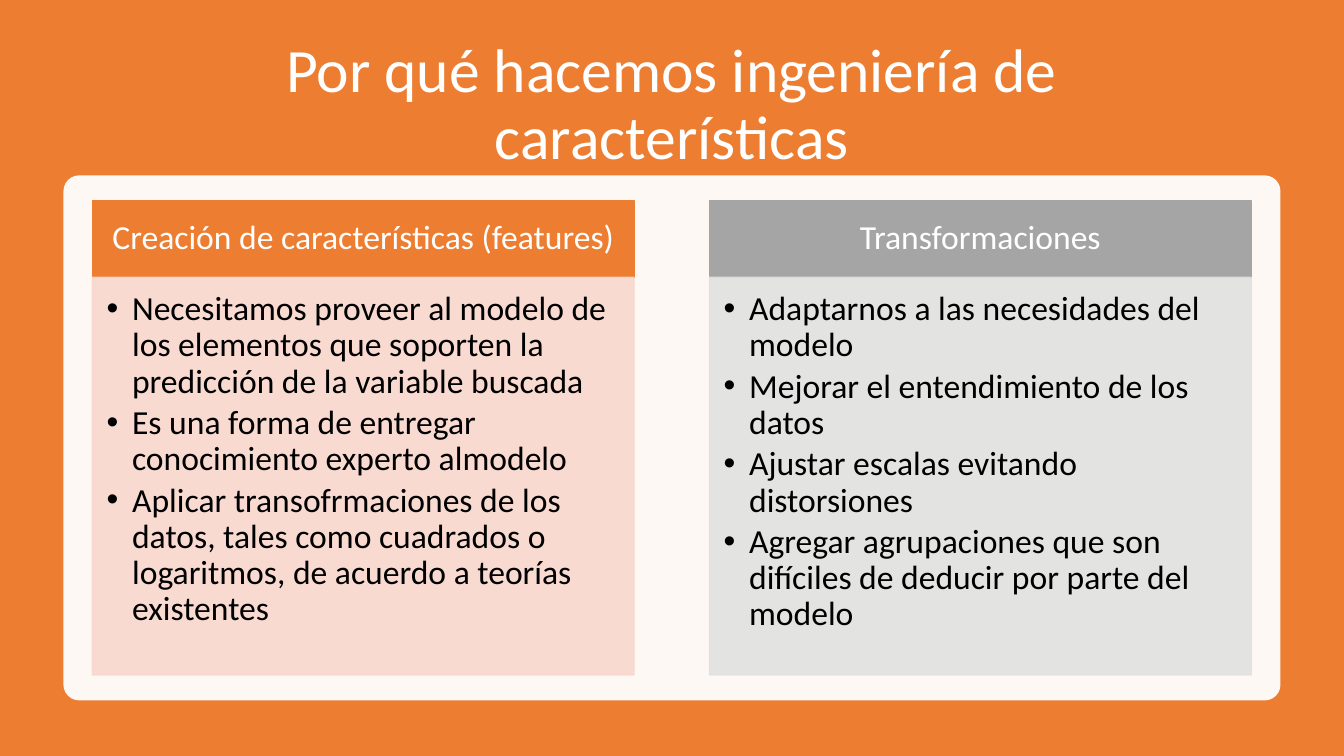
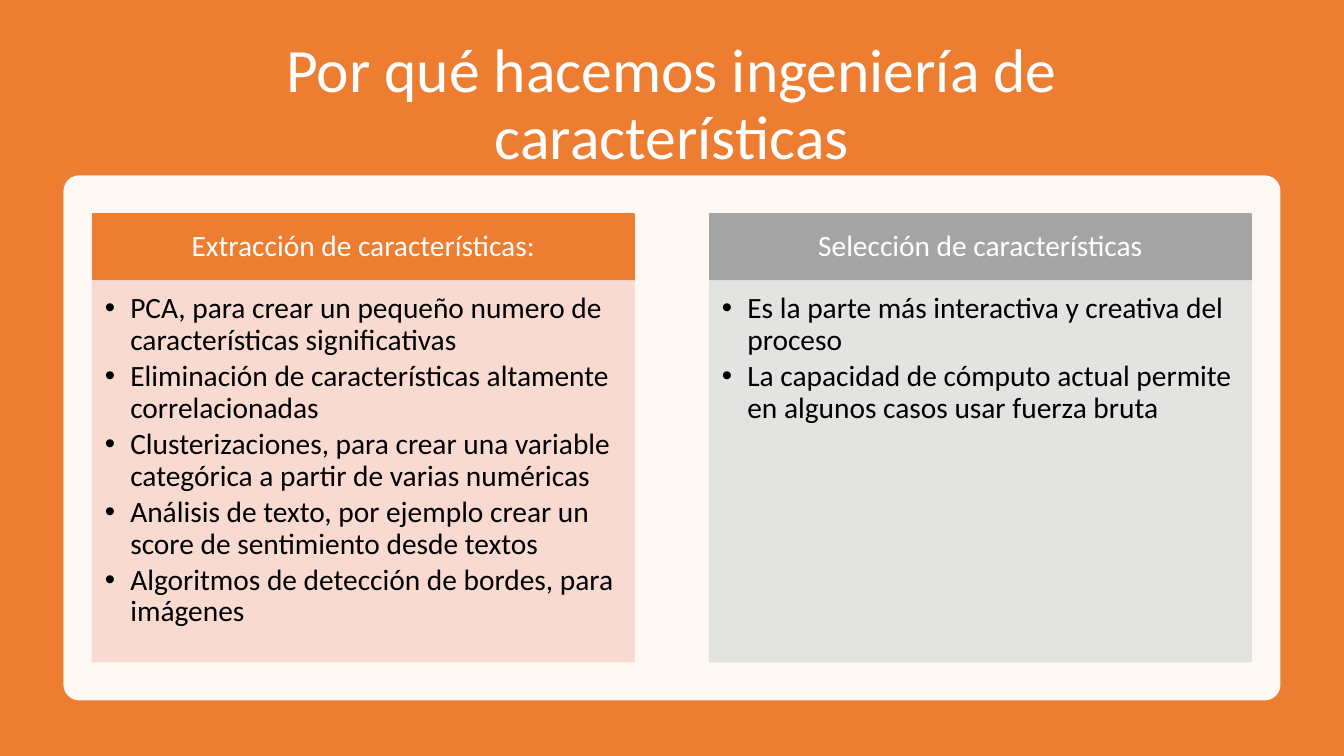
from lxml.etree import SubElement
from pptx import Presentation
from pptx.dml.color import RGBColor as Rgb
from pptx.enum.shapes import MSO_SHAPE as Shape
from pptx.enum.text import MSO_ANCHOR as Anchor, PP_ALIGN as Align
from pptx.oxml.ns import qn
from pptx.util import Cm, Pt

COLORS = {
    "orange": "ED7D31",
    "gray": "A5A5A5",
    "pale_orange": "F8D7CE",
    "pale_gray": "E1E1E1",
    "white": "FFFFFF",
    "black": "000000",
}
FONT = "Calibri"
TITLE = "Por qué hacemos ingeniería de características"
SLIDE_WIDTH, SLIDE_HEIGHT = 33.87, 19.05
PANEL_LEFT, PANEL_TOP, PANEL_HEIGHT = 1.6, 4.42, 13.23
COLUMN_LEFT, COLUMN_WIDTH, COLUMN_STEP = 2.33, 13.65, 15.55
COLUMN_FILLS = [("orange", "pale_orange"), ("gray", "pale_gray")]
BULLET_INDENT = Cm(0.64)

SLIDES = [
    {
        "size": 24,
        "header_height": 1.93,
        "body_height": 10.02,
        "columns": [
            ("Creación de características (features)", [
                "Necesitamos proveer al modelo de los elementos que soporten la "
                "predicción de la variable buscada",
                "Es una forma de entregar conocimiento experto almodelo",
                "Aplicar transofrmaciones de los datos, tales como cuadrados o "
                "logaritmos, de acuerdo a teorías existentes",
            ]),
            ("Transformaciones", [
                "Adaptarnos a las necesidades del modelo",
                "Mejorar el entendimiento de los datos",
                "Ajustar escalas evitando distorsiones",
                "Agregar agrupaciones que son difíciles de deducir por parte del "
                "modelo",
            ]),
        ],
    },
    {
        "size": 21,
        "header_height": 1.68,
        "body_height": 9.6,
        "columns": [
            ("Extracción de características:", [
                "PCA, para crear un pequeño numero de características "
                "significativas",
                "Eliminación de características altamente correlacionadas",
                "Clusterizaciones, para crear una variable categórica a partir "
                "de varias numéricas",
                "Análisis de texto, por ejemplo crear un score de sentimiento "
                "desde textos",
                "Algoritmos de detección de bordes, para imágenes",
            ]),
            ("Selección de características", [
                "Es la parte más interactiva y creativa del proceso",
                "La capacidad de cómputo actual permite en algunos casos usar "
                "fuerza bruta",
            ]),
        ],
    },
]


def paint(fill, color, opacity=100):
    fill.solid()
    fill.fore_color.rgb = Rgb.from_string(COLORS[color])
    if opacity < 100:
        for node in fill._xPr.iter(qn("a:srgbClr")):
            SubElement(node, qn("a:alpha"), val=str(opacity * 1000))


def add_block(page, kind, left, top, width, height, color, opacity=100, outlined=True):
    block = page.shapes.add_shape(kind, Cm(left), Cm(top), Cm(width), Cm(height))
    block.shadow.inherit = False
    paint(block.fill, color, opacity)
    if outlined:
        block.line.width = Pt(1)
        paint(block.line.fill, color, opacity)
    else:
        block.line.fill.background()
    return block


def set_insets(frame, left, top, right, bottom):
    frame.margin_left, frame.margin_top = Cm(left), Cm(top)
    frame.margin_right, frame.margin_bottom = Cm(right), Cm(bottom)


def add_bullet(para):
    properties = para._p.get_or_add_pPr()
    properties.set("marL", str(BULLET_INDENT))
    properties.set("indent", str(-BULLET_INDENT))
    SubElement(properties, qn("a:buFont"), typeface="Arial")
    SubElement(properties, qn("a:buChar"), char="•")


def write(box, lines, size, color, align, anchor, bulleted=False):
    frame = box.text_frame
    frame.word_wrap = True
    frame.vertical_anchor = anchor
    frame.text = "\n".join(lines)
    for para in frame.paragraphs:
        if bulleted:
            add_bullet(para)
            para.space_after = Pt(size * 0.15)
        para.alignment = align
        para.line_spacing = 0.9
        for span in para.runs:
            span.font.name = FONT
            span.font.size = Pt(size)
            span.font.color.rgb = Rgb.from_string(COLORS[color])


def add_title(page):
    width = 28.4
    box = page.shapes.add_textbox(
        Cm((SLIDE_WIDTH - width) / 2), Cm(1.27), Cm(width), Cm(2.8))
    write(box, [TITLE], 44, "white", Align.CENTER, Anchor.MIDDLE)


def add_panel(page):
    panel = add_block(page, Shape.ROUNDED_RECTANGLE, PANEL_LEFT, PANEL_TOP,
                      SLIDE_WIDTH - 2 * PANEL_LEFT, PANEL_HEIGHT,
                      "white", 95, outlined=False)
    panel.adjustments[0] = 0.03


def add_column(page, index, content):
    size = content["size"]
    heading, points = content["columns"][index]
    header_color, body_color = COLUMN_FILLS[index]
    header_height, body_height = content["header_height"], content["body_height"]
    left = COLUMN_LEFT + index * COLUMN_STEP
    top = PANEL_TOP + (PANEL_HEIGHT - header_height - body_height) / 2

    header = add_block(page, Shape.RECTANGLE, left, top,
                       COLUMN_WIDTH, header_height, header_color)
    set_insets(header.text_frame, size * 0.02, size * 0.01, size * 0.02, size * 0.01)
    write(header, [heading], size, "white", Align.CENTER, Anchor.MIDDLE)

    body = add_block(page, Shape.RECTANGLE, left, top + header_height,
                     COLUMN_WIDTH, body_height, body_color, 90)
    set_insets(body.text_frame, size * 0.015, size * 0.015, size * 0.02, size * 0.02)
    write(body, points, size, "black", Align.LEFT, Anchor.TOP, bulleted=True)


def main():
    deck = Presentation()
    deck.slide_width, deck.slide_height = Cm(SLIDE_WIDTH), Cm(SLIDE_HEIGHT)
    for content in SLIDES:
        page = deck.slides.add_slide(deck.slide_layouts[6])
        paint(page.background.fill, "orange")
        add_title(page)
        add_panel(page)
        for index in range(len(content["columns"])):
            add_column(page, index, content)
    deck.save("out.pptx")


if __name__ == "__main__":
    main()
